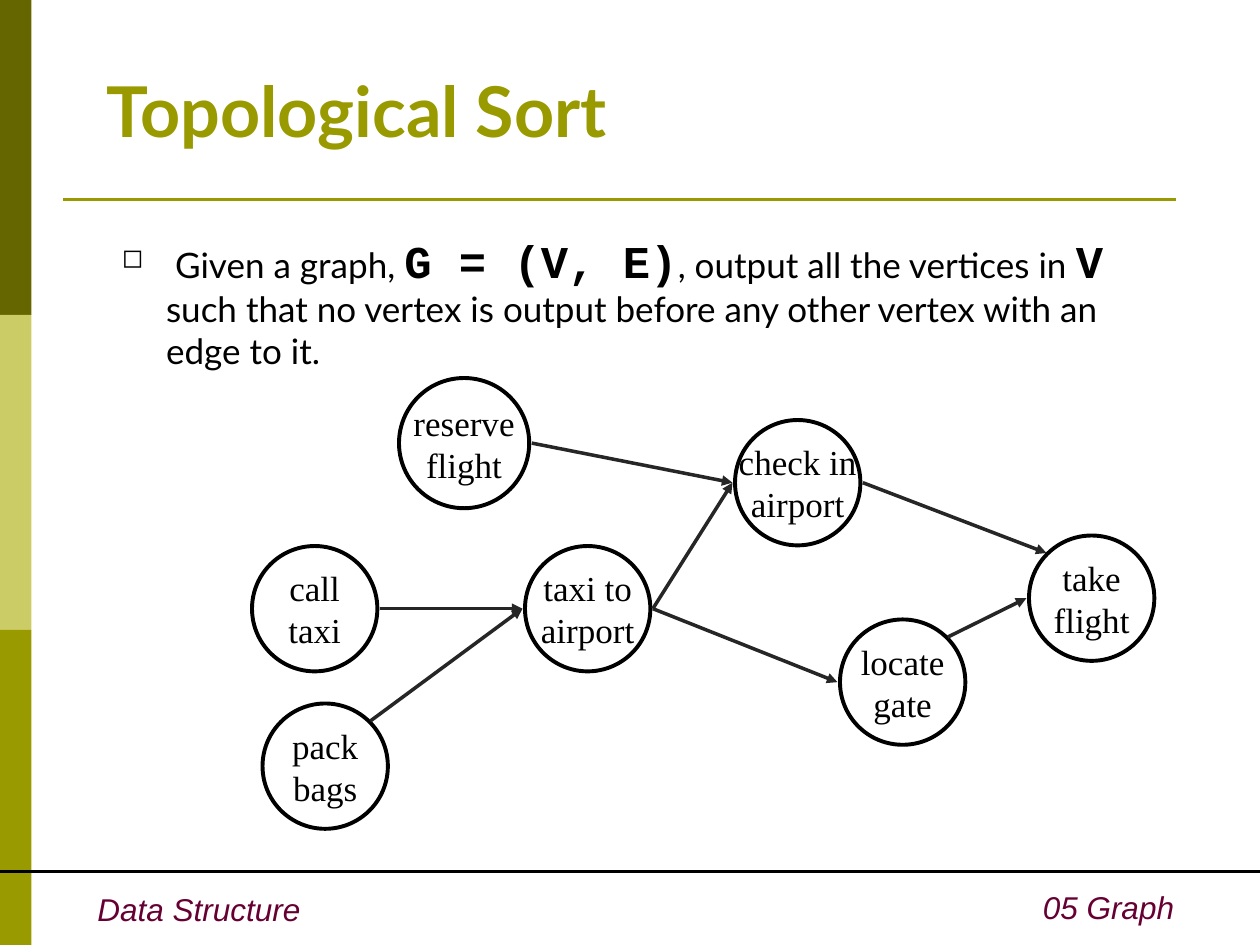
from lxml import etree
from pptx import Presentation
from pptx.dml.color import RGBColor
from pptx.enum.shapes import MSO_CONNECTOR, MSO_SHAPE
from pptx.enum.text import MSO_ANCHOR, PP_ALIGN
from pptx.oxml.ns import qn
from pptx.util import Inches, Pt

STRAIGHT = MSO_CONNECTOR.STRAIGHT
RECTANGLE, OVAL = MSO_SHAPE.RECTANGLE, MSO_SHAPE.OVAL
TOP, MIDDLE, BOTTOM = MSO_ANCHOR.TOP, MSO_ANCHOR.MIDDLE, MSO_ANCHOR.BOTTOM
LEFT, CENTER, RIGHT = PP_ALIGN.LEFT, PP_ALIGN.CENTER, PP_ALIGN.RIGHT

COLORS = {
    "dark": "666600",
    "light": "CCCC66",
    "olive": "999900",
    "footer": "660033",
    "edge": "262626",
    "ink": "000000",
    "paper": "FFFFFF",
}

COLUMNS, ROWS = 120, 90
CELL = Inches(10) // COLUMNS
NODE_SIZE, LARGE_NODE_SIZE = 11.94, 12.4
SITES = {
    "left": (-0.02, 0.5),
    "right": (1.02, 0.5),
    "upper left": (0.14, 0.14),
    "upper right": (0.86, 0.14),
}

NODES = {
    "check in\nairport": (70, 40, NODE_SIZE),
    "call\ntaxi": (24, 52, NODE_SIZE),
    "taxi to\nairport": (50, 52, NODE_SIZE),
    "reserve\nflight": (38, 36, LARGE_NODE_SIZE),
    "pack\nbags": (25, 67, NODE_SIZE),
    "take\nflight": (98, 51, NODE_SIZE),
    "locate\ngate": (80, 59, NODE_SIZE),
}
EDGES = [
    ("call\ntaxi", "right", "taxi to\nairport", "left"),
    ("pack\nbags", "upper right", "taxi to\nairport", "left"),
    ("reserve\nflight", "right", "check in\nairport", "left"),
    ("taxi to\nairport", "right", "check in\nairport", "left"),
    ("taxi to\nairport", "right", "locate\ngate", "left"),
    ("locate\ngate", "upper right", "take\nflight", "left"),
    ("check in\nairport", "right", "take\nflight", "upper left"),
]


def grid(*cells):
    return [round(cell * CELL) for cell in cells]


def color(name):
    return RGBColor.from_string(COLORS[name])


def style_run(run, font="Lato", size=20, ink="ink", bold=False, italic=False):
    run.font.name = font
    run.font.size = Pt(size)
    run.font.color.rgb = color(ink)
    run.font.bold = bold
    run.font.italic = italic


def write(frame, text, align=LEFT, anchor=TOP, wrap=True, **style):
    frame.word_wrap = wrap
    frame.vertical_anchor = anchor
    for number, line in enumerate(text.split("\n")):
        paragraph = frame.add_paragraph() if number else frame.paragraphs[0]
        paragraph.alignment = align
        run = paragraph.add_run()
        run.text = line
        style_run(run, **style)


def add_text(slide, cells, text, **style):
    write(slide.shapes.add_textbox(*grid(*cells)).text_frame, text, **style)


def add_band(slide, cells, fill):
    band = slide.shapes.add_shape(RECTANGLE, *grid(*cells))
    band.shadow.inherit = False
    band.fill.solid()
    band.fill.fore_color.rgb = color(fill)
    band.line.fill.background()


def add_line(slide, cells, ink, width):
    line = slide.shapes.add_connector(STRAIGHT, *grid(*cells))
    line.line.color.rgb = color(ink)
    line.line.width = Pt(width)
    etree.SubElement(line._element.spPr, qn("a:effectLst"))
    return line


def add_node(slide, label, column, row, size):
    node = slide.shapes.add_shape(OVAL, *grid(column, row, size, size))
    node.shadow.inherit = False
    node.fill.solid()
    node.fill.fore_color.rgb = color("paper")
    node.line.color.rgb = color("ink")
    node.line.width = Pt(2.25)
    write(node.text_frame, label, align=CENTER, anchor=MIDDLE, wrap=False,
          font="Times New Roman")


def site_of(label, site):
    column, row, size = NODES[label]
    across, down = SITES[site]
    return column + across * size, row + down * size


def add_edge(slide, source, source_site, target, target_site):
    ends = site_of(source, source_site) + site_of(target, target_site)
    edge = add_line(slide, ends, "edge", 2)
    outline = edge._element.spPr.find(qn("a:ln"))
    etree.SubElement(outline, qn("a:tailEnd"), type="triangle")


def add_definition(slide, cells, pieces):
    frame = slide.shapes.add_textbox(*grid(*cells)).text_frame
    frame.word_wrap = True
    paragraph = frame.paragraphs[0]
    properties = paragraph._p.get_or_add_pPr()
    properties.set("marL", str(Inches(0.47)))
    properties.set("indent", str(-Inches(0.35)))
    bullet_color = etree.SubElement(properties, qn("a:buClr"))
    etree.SubElement(bullet_color, qn("a:srgbClr"), val=COLORS["ink"])
    etree.SubElement(properties, qn("a:buSzPct"), val="75000")
    etree.SubElement(properties, qn("a:buChar"), char="◻")
    for text, style in pieces:
        run = paragraph.add_run()
        run.text = text
        style_run(run, **style)


def main():
    deck = Presentation()
    deck.slide_width, deck.slide_height = grid(COLUMNS, ROWS)
    slide = deck.slides.add_slide(deck.slide_layouts[6])

    band_height = ROWS / 3
    for number, fill in enumerate(("dark", "light", "olive")):
        add_band(slide, (0, number * band_height, 3, band_height), fill)
    add_line(slide, (6, 19, 112, 19), "olive", 1.5)
    add_line(slide, (0, 83, COLUMNS, 83), "ink", 2.25)

    footer = {"font": "Arial", "size": 18, "ink": "footer", "italic": True}
    add_text(slide, (8.1, 84.2, 22, 4.8), "Data Structure", wrap=False, **footer)
    add_text(slide, (63, 84, 50, 4.8), "05 Graph", align=RIGHT, **footer)

    add_text(slide, (9, 0, 102, 15), "Topological Sort", anchor=BOTTOM,
             size=40, ink="olive", bold=True)
    formula = {"font": "Courier New", "size": 26, "bold": True}
    add_definition(slide, (9, 21.6, 102, 21), [
        (" Given a graph, ", {}),
        ("G = (V, E)", formula),
        (", output all the vertices in ", {}),
        ("V", formula),
        (" such that no vertex is output before any other vertex with an edge to it.", {}),
    ])

    for label, place in NODES.items():
        add_node(slide, label, *place)
    for edge in EDGES:
        add_edge(slide, *edge)

    deck.save("out.pptx")


if __name__ == "__main__":
    main()
